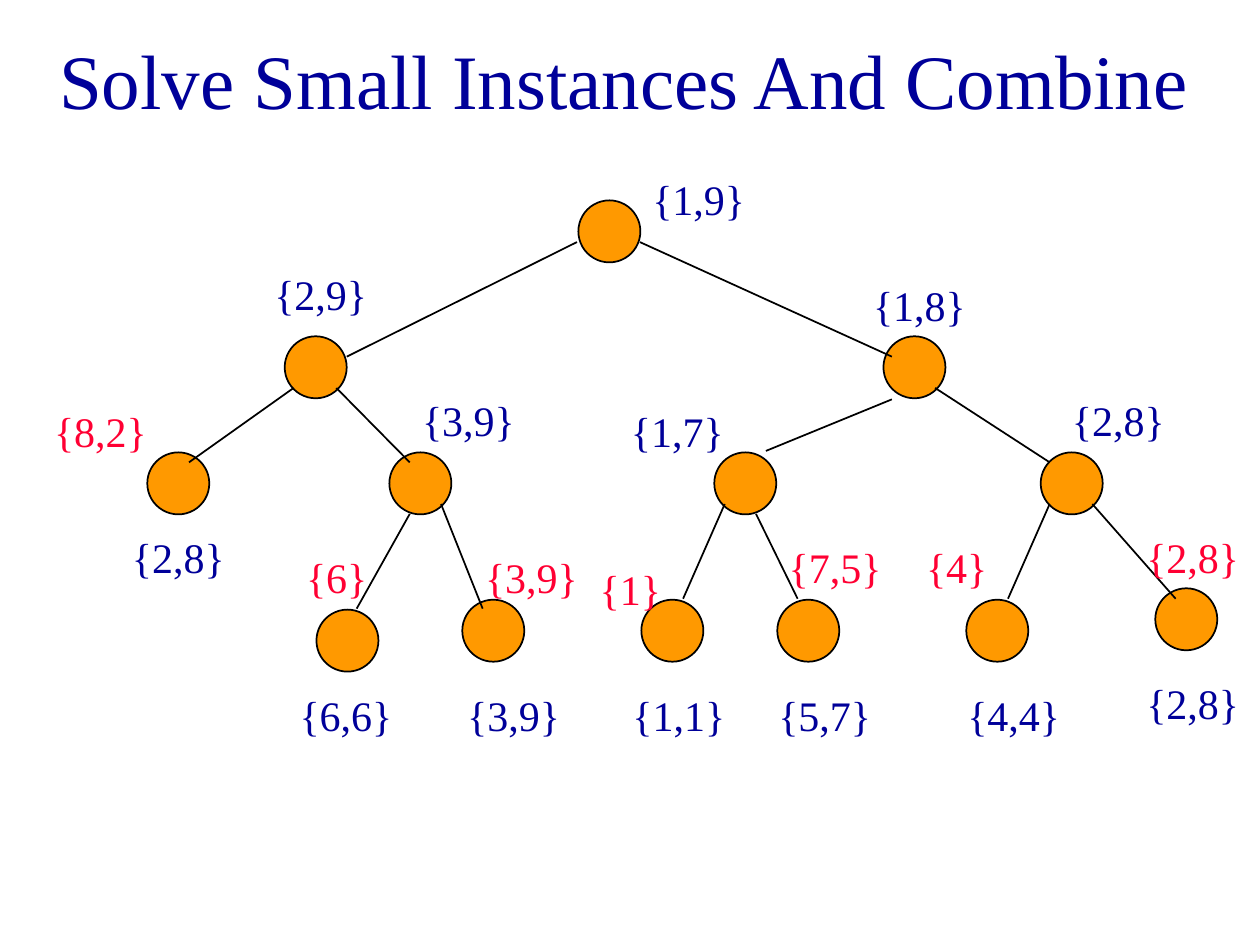
from lxml.etree import SubElement
from pptx import Presentation
from pptx.dml.color import RGBColor
from pptx.enum.shapes import MSO_CONNECTOR, MSO_SHAPE
from pptx.enum.text import MSO_ANCHOR, MSO_AUTO_SIZE, PP_ALIGN
from pptx.oxml.ns import qn
from pptx.util import Cm, Pt

NAVY = RGBColor(0x00, 0x00, 0x99)
RED = RGBColor(0xFF, 0x00, 0x33)
ORANGE = RGBColor(0xFF, 0x99, 0x00)
BLACK = RGBColor(0x00, 0x00, 0x00)

NODES = [
    (11.66, 4.04),
    (5.74, 6.78), (17.81, 6.78),
    (2.97, 9.12), (7.85, 9.12), (14.4, 9.12), (20.98, 9.12),
    (6.38, 12.29), (9.32, 12.09), (12.93, 12.09),
    (15.67, 12.09), (19.48, 12.09), (23.29, 11.86),
]
EDGES = [
    (11.63, 4.88, 6.99, 7.19), (12.9, 4.88, 17.98, 7.19),
    (5.92, 7.82, 3.81, 9.32), (6.78, 7.82, 8.26, 9.32),
    (17.98, 8.05, 15.44, 9.09), (18.85, 7.82, 21.16, 9.32),
    (8.26, 10.36, 7.19, 12.27), (8.89, 10.16, 9.73, 12.27),
    (14.61, 10.16, 13.77, 12.07), (15.24, 10.36, 16.08, 12.07),
    (21.16, 10.16, 20.32, 12.07), (22.02, 10.16, 23.7, 12.07),
]
INSTANCES = [
    ("{8,2}", 0.84, 8.05, 4.24), ("{6}", 5.92, 11, 2.74),
    ("{3,9}", 9.53, 11, 2.74), ("{1}", 11.84, 11.23, 3.18),
    ("{7,5}", 15.65, 10.8, 2.54), ("{4}", 18.42, 10.8, 2.54),
    ("{2,8}", 22.86, 10.59, 2.54),
]
SOLUTIONS = [
    ("{2,8}", 2.41, 10.59, 2.4), ("{6,6}", 5.79, 13.77, 2.4),
    ("{3,9}", 9.17, 13.77, 2.4), ("{3,9}", 8.26, 7.82, 3.81),
    ("{1,7}", 12.47, 8.05, 3.18), ("{2,8}", 21.36, 7.82, 3.4),
    ("{1,8}", 17.35, 5.51, 5.94), ("{1,9}", 12.9, 3.38, 11),
]
INDENTED_SOLUTIONS = [
    ("{2,9}", 4.01, 5.28), ("{1,1}", 11.23, 13.77), ("{5,7}", 14.17, 13.77),
    ("{4,4}", 17.98, 13.77), ("{2,8}", 21.59, 13.54),
]


class TreeSlide:
    """Draws a divide-and-conquer tree in one consistent style."""

    font = {"name": "Times New Roman", "size": Pt(24)}
    frame = {"word_wrap": True, "auto_size": MSO_AUTO_SIZE.SHAPE_TO_FIT_TEXT}
    diameter = Cm(1.25)
    label_height = 1.27

    def __init__(self, deck):
        self.slide = deck.slides.add_slide(deck.slide_layouts[6])

    def apply(self, target, formats):
        for attribute, value in formats.items():
            setattr(target, attribute, value)

    def outline(self, line):
        line.color.rgb = BLACK
        line.width = Pt(1)

    def text(self, words, area, color, font=None, frame=None):
        box = self.slide.shapes.add_textbox(*map(Cm, area))
        self.apply(box.text_frame, self.frame | (frame or {}))
        paragraph = box.text_frame.paragraphs[0]
        run = paragraph.add_run()
        run.text = words
        self.apply(run.font, self.font | (font or {}))
        run.font.color.rgb = color
        return paragraph

    def title(self, words):
        frame = {"auto_size": MSO_AUTO_SIZE.NONE, "vertical_anchor": MSO_ANCHOR.MIDDLE}
        heading = self.text(words, (0.2, 0.64, 24.77, 1.9), NAVY, {"size": Pt(44)}, frame)
        heading.alignment = PP_ALIGN.CENTER

    def label(self, words, left, top, width, color, indent=0):
        paragraph = self.text(words, (left, top, width, self.label_height), color)
        if indent:
            paragraph._p.get_or_add_pPr().set("marL", str(Cm(indent)))

    def node(self, left, top):
        circle = self.slide.shapes.add_shape(
            MSO_SHAPE.OVAL, Cm(left), Cm(top), self.diameter, self.diameter)
        circle.shadow.inherit = False
        circle.fill.solid()
        circle.fill.fore_color.rgb = ORANGE
        self.outline(circle.line)

    def edge(self, *ends):
        branch = self.slide.shapes.add_connector(MSO_CONNECTOR.STRAIGHT, *map(Cm, ends))
        self.outline(branch.line)
        SubElement(branch._element.spPr, qn("a:effectLst"))


def main():
    deck = Presentation()
    deck.slide_width, deck.slide_height = Cm(25.4), Cm(19.05)
    tree = TreeSlide(deck)
    tree.title("Solve Small Instances And Combine")
    for position in NODES:
        tree.node(*position)
    for ends in EDGES:
        tree.edge(*ends)
    for instance in INSTANCES:
        tree.label(*instance, RED)
    for solution in SOLUTIONS:
        tree.label(*solution, NAVY)
    for solution in INDENTED_SOLUTIONS:
        tree.label(*solution, 3.81, NAVY, indent=1.27)
    deck.save("out.pptx")


if __name__ == "__main__":
    main()
